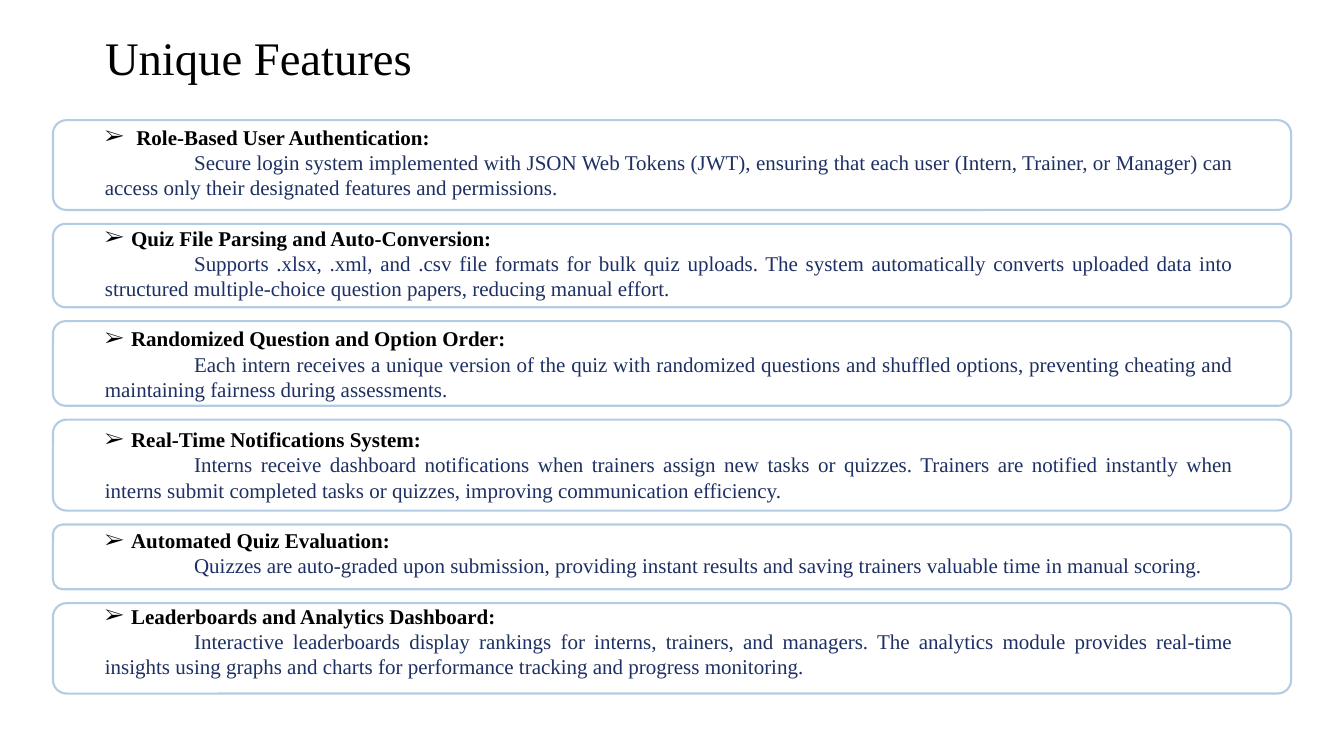
"""Build the Unique Features slide with six outlined feature cards."""
from dataclasses import dataclass

import lxml.etree
import pptx
import pptx.dml.color
import pptx.enum.shapes
import pptx.enum.text
import pptx.oxml.ns
import pptx.util

Pt = pptx.util.Pt
RGBColor = pptx.dml.color.RGBColor
ALIGN = pptx.enum.text.PP_ALIGN

BLACK = RGBColor(0x00, 0x00, 0x00)
NAVY = RGBColor(0x1E, 0x30, 0x63)
PALE_BLUE = RGBColor(0xB4, 0xCC, 0xE3)

FONT = "Times New Roman"
TEXT_SIZE = 18
LINE_RATIO = 1.2
TEXT_LEFT = 82.8
CARDS_TOP = 103
CARD_LEFT = 45.4
CARD_WIDTH = 1061.3
CARD_GAP = 11.9
BODY_INDENT = 76.5


@dataclass(frozen=True)
class Feature:
    heading: str
    body: str
    card_height: float
    heading_indent: float = 22.5


FEATURES = [
    Feature(
        "Role-Based User Authentication:",
        "Secure login system implemented with JSON Web Tokens (JWT), ensuring that each user "
        "(Intern, Trainer, or Manager) can access only their designated features and permissions.",
        77,
        27,
    ),
    Feature(
        "Quiz File Parsing and Auto-Conversion:",
        "Supports .xlsx, .xml, and .csv file formats for bulk quiz uploads. The system automatically "
        "converts uploaded data into structured multiple-choice question papers, reducing manual effort.",
        71.5,
    ),
    Feature(
        "Randomized Question and Option Order:",
        "Each intern receives a unique version of the quiz with randomized questions and shuffled "
        "options, preventing cheating and maintaining fairness during assessments.",
        72.5,
    ),
    Feature(
        "Real-Time Notifications System:",
        "Interns receive dashboard notifications when trainers assign new tasks or quizzes. Trainers are "
        "notified instantly when interns submit completed tasks or quizzes, improving communication efficiency.",
        78,
    ),
    Feature(
        "Automated Quiz Evaluation:",
        "Quizzes are auto-graded upon submission, providing instant results and saving trainers "
        "valuable time in manual scoring.",
        55.5,
    ),
    Feature(
        "Leaderboards and Analytics Dashboard:",
        "Interactive leaderboards display rankings for interns, trainers, and managers. The analytics module "
        "provides real-time insights using graphs and charts for performance tracking and progress monitoring.",
        77.5,
    ),
]


def write_paragraph(paragraph, text: str, size: float, color: RGBColor,
                    alignment: ALIGN, bold: bool = False) -> None:
    """Fill one paragraph and format its runs."""
    paragraph.text = text
    paragraph.alignment = alignment
    paragraph.line_spacing = Pt(size * LINE_RATIO)
    for run in paragraph.runs:
        run.font.name = FONT
        run.font.size = Pt(size)
        run.font.bold = bold
        run.font.color.rgb = color


def set_indent(paragraph, margin: float, first_line: float, bullet: str = "") -> None:
    """Set the left margin and first-line indent, with an optional bullet."""
    properties = paragraph._p.get_or_add_pPr()
    properties.set("marL", str(int(Pt(margin))))
    properties.set("indent", str(int(Pt(first_line))))
    if bullet:
        qualify = pptx.oxml.ns.qn
        lxml.etree.SubElement(properties, qualify("a:buFont"), typeface=FONT)
        lxml.etree.SubElement(properties, qualify("a:buChar"), char=bullet)


def add_title(slide) -> None:
    """Place and format the title placeholder."""
    title = slide.shapes.title
    title.left, title.top, title.width, title.height = Pt(TEXT_LEFT), Pt(20.9), Pt(576), Pt(55.4)
    text_frame = title.text_frame
    text_frame.auto_size = pptx.enum.text.MSO_AUTO_SIZE.NONE
    text_frame.vertical_anchor = pptx.enum.text.MSO_ANCHOR.TOP
    write_paragraph(text_frame.paragraphs[0], "Unique Features", 40, BLACK, ALIGN.LEFT)


def add_feature_text(slide, features: list[Feature]) -> None:
    """Write all headings and descriptions in one text box."""
    box = slide.shapes.add_textbox(Pt(TEXT_LEFT), Pt(CARDS_TOP), Pt(981.4), Pt(483))
    text_frame = box.text_frame
    text_frame.word_wrap = True
    for index, feature in enumerate(features):
        heading = text_frame.add_paragraph() if index else text_frame.paragraphs[0]
        set_indent(heading, feature.heading_indent, -feature.heading_indent, "➢")
        write_paragraph(heading, feature.heading, TEXT_SIZE, BLACK, ALIGN.JUSTIFY, bold=True)
        if index:
            heading.space_before = Pt(TEXT_SIZE * LINE_RATIO)
        body = text_frame.add_paragraph()
        set_indent(body, 0, BODY_INDENT)
        write_paragraph(body, feature.body, TEXT_SIZE, NAVY, ALIGN.JUSTIFY)


def add_cards(slide, features: list[Feature]) -> None:
    """Stack one rounded outline per feature."""
    top = CARDS_TOP
    for feature in features:
        card = slide.shapes.add_shape(
            pptx.enum.shapes.MSO_SHAPE.ROUNDED_RECTANGLE,
            Pt(CARD_LEFT), Pt(top), Pt(CARD_WIDTH), Pt(feature.card_height),
        )
        card.adjustments[0] = 0.15
        card.shadow.inherit = False
        card.fill.background()
        card.line.color.rgb = PALE_BLUE
        card.line.width = Pt(1.8)
        top += feature.card_height + CARD_GAP


def main() -> None:
    """Create the presentation and save it."""
    presentation = pptx.Presentation()
    presentation.slide_width = Pt(1152)
    presentation.slide_height = Pt(648)
    slide = presentation.slides.add_slide(presentation.slide_layouts[5])
    add_title(slide)
    add_feature_text(slide, FEATURES)
    add_cards(slide, FEATURES)
    presentation.save("out.pptx")


if __name__ == "__main__":
    main()
